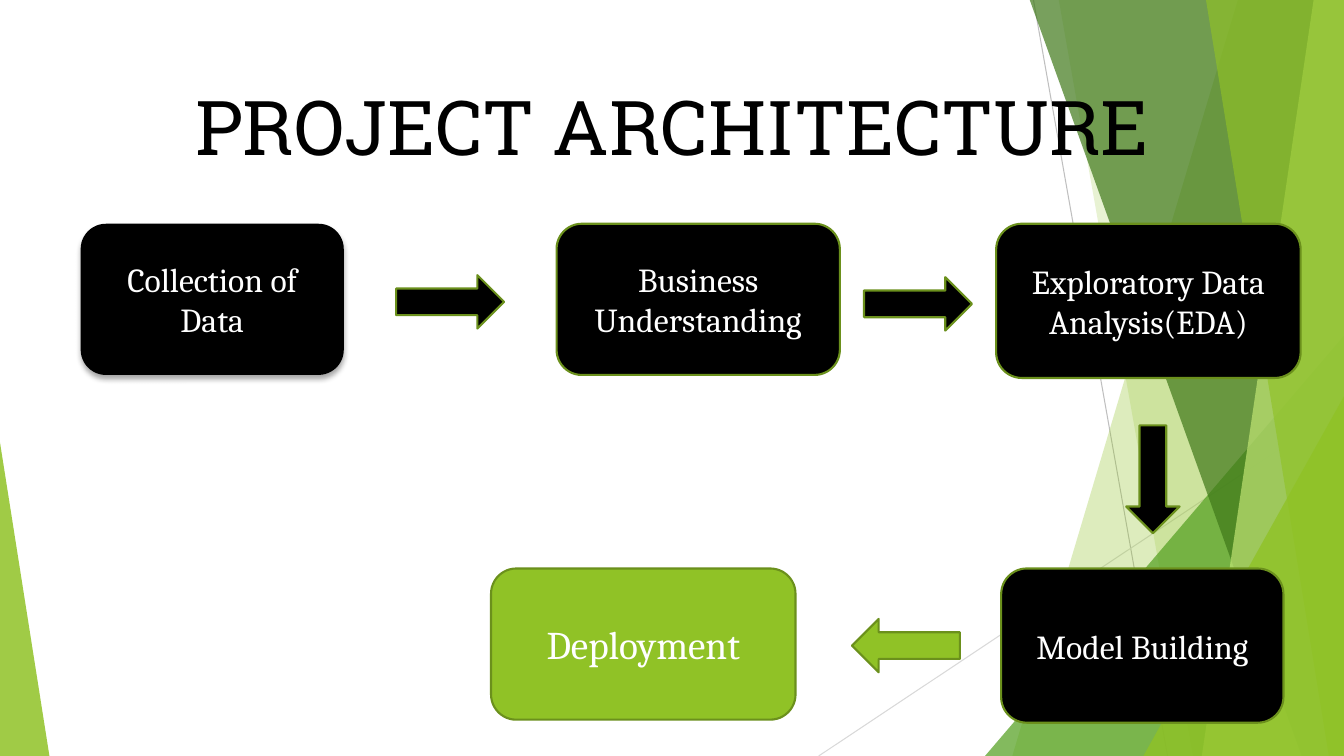
from dataclasses import dataclass

from lxml import etree
from pptx import Presentation
from pptx import util as u
from pptx.dml import color
from pptx.enum import shapes, text
from pptx.oxml import ns

KIND = shapes.MSO_SHAPE
WIDE, TALL = 13.33, 7.5


@dataclass(frozen=True)
class Theme:
    black: str = "000000"
    white: str = "FFFFFF"
    lime: str = "90C226"
    leaf: str = "54A021"
    pine: str = "3F7819"
    pale: str = "C0E474"
    edge: str = "6B901C"
    grey: str = "BFBFBF"
    mist: str = "D9D9D9"
    head: str = "Roboto Slab"
    body: str = "Cambria"
    title: int = 54
    large: int = 28
    base: int = 24


LOOK = Theme()


def rgb(code):
    return color.RGBColor.from_string(code)


def inch(*sizes):
    return [u.Inches(size) for size in sizes]


def write(shape, words, size=LOOK.base, font=LOOK.body, ink=LOOK.white,
          anchor=text.MSO_ANCHOR.MIDDLE, wrap=True):
    frame = shape.text_frame
    frame.word_wrap = wrap
    frame.auto_size = text.MSO_AUTO_SIZE.NONE
    frame.vertical_anchor = anchor
    line = frame.paragraphs[0]
    line.alignment = text.PP_ALIGN.CENTER
    run = line.add_run()
    run.text = words
    run.font.size = u.Pt(size)
    run.font.name = font
    run.font.color.rgb = rgb(ink)


def paint(shape, fill, edge=None, alpha=100):
    """Set fill, outline and opacity in percent, with no shadow."""
    shape.shadow.inherit = False
    shape.fill.solid()
    shape.fill.fore_color.rgb = rgb(fill)
    if alpha < 100:
        tone = shape.element.spPr.find(".//" + ns.qn("a:srgbClr"))
        etree.SubElement(tone, ns.qn("a:alpha"), val=str(alpha * 1000))
    if edge:
        shape.line.color.rgb = rgb(edge)
        shape.line.width = u.Pt(1.5)
    else:
        shape.line.fill.background()


def shade(shape):
    """Drop a soft shadow straight down."""
    drop = etree.SubElement(
        shape.element.spPr.find(ns.qn("a:effectLst")), ns.qn("a:outerShdw"),
        blurRad=str(u.Pt(4)), dist=str(u.Pt(3)), dir="5400000", rotWithShape="0")
    tone = etree.SubElement(drop, ns.qn("a:srgbClr"), val=LOOK.black)
    etree.SubElement(tone, ns.qn("a:alpha"), val="35000")


def add_line(slide, start, end, ink):
    line = slide.shapes.add_connector(
        shapes.MSO_CONNECTOR.STRAIGHT, *inch(*start, *end))
    line.line.color.rgb = rgb(ink)
    line.line.width = u.Pt(0.75)
    etree.SubElement(line.element.spPr, ns.qn("a:effectLst"))


def add_facet(slide, top, base, fill, alpha):
    """Fill from a slanted left side to the right edge of the slide."""
    rise = -0.01
    points = [inch(*point) for point in
              ((WIDE, rise), (WIDE, TALL), (base, TALL))]
    pen = slide.shapes.build_freeform(*inch(top, rise))
    pen.add_line_segments(points, close=True)
    paint(pen.convert_to_shape(), fill, alpha=alpha)


def add_wedge(slide, box, peak, fill, alpha):
    wedge = slide.shapes.add_shape(KIND.ISOSCELES_TRIANGLE, *inch(*box))
    wedge.adjustments[0] = peak
    paint(wedge, fill, alpha=alpha)


def add_decor(slide):
    add_line(slide, (10.25, 0), (11.58, TALL), LOOK.grey)
    add_line(slide, (WIDE, 4.03), (8.12, TALL), LOOK.mist)
    add_facet(slide, 12.28, 10.04, LOOK.lime, 30)
    add_facet(slide, 10.5, 11.83, LOOK.lime, 20)
    add_wedge(slide, (9.77, 3.33, 3.56, 4.17), 1, LOOK.leaf, 72)
    add_facet(slide, 10.21, 12.91, LOOK.pine, 70)
    add_facet(slide, 13.03, 11.92, LOOK.pale, 70)
    add_facet(slide, 11.96, 13.18, LOOK.lime, 65)
    add_wedge(slide, (11.34, 3.93, 1.99, 3.57), 1, LOOK.lime, 80)
    add_wedge(slide, (0, 4.39, 0.49, 3.11), 0, LOOK.lime, 85)


def add_title(slide, words):
    title = slide.shapes.title
    title.left, title.top, title.width, title.height = inch(1.33, 0.74, 10.68, 1.01)
    write(title, words, size=LOOK.title, font=LOOK.head, ink=LOOK.black,
          anchor=text.MSO_ANCHOR.TOP, wrap=False)
    # Bring the title in front of the facets.
    slide.shapes.element.append(title.element)


def add_step(slide, words, box, fill=LOOK.black, edge=LOOK.edge, size=LOOK.base):
    step = slide.shapes.add_shape(KIND.ROUNDED_RECTANGLE, *inch(*box))
    paint(step, fill, edge)
    write(step, words, size=size)
    return step


def add_arrow(slide, kind, left, top, fill=LOOK.black):
    size = (0.53, 1.07) if kind == KIND.DOWN_ARROW else (1.07, 0.53)
    arrow = slide.shapes.add_shape(kind, *inch(left, top, *size))
    paint(arrow, fill, LOOK.edge)


def main():
    deck = Presentation()
    deck.slide_width, deck.slide_height = inch(WIDE, TALL)
    slide = deck.slides.add_slide(deck.slide_layouts.get_by_name("Title Only"))
    add_decor(slide)
    add_title(slide, "PROJECT ARCHITECTURE")

    upper, lower = 2.22, 5.64
    first = add_step(slide, "Collection of Data", (0.8, upper, 2.61, 1.5), edge=None)
    shade(first)
    add_step(slide, "Business Understanding", (5.52, upper, 2.81, 1.5))
    add_step(slide, "Exploratory Data Analysis(EDA)", (9.88, upper, 3.02, 1.53))
    add_step(slide, "Deployment", (4.87, lower, 3.02, 1.5),
             fill=LOOK.lime, size=LOOK.large)
    add_step(slide, "Model Building", (9.93, lower, 2.8, 1.53))

    add_arrow(slide, KIND.RIGHT_ARROW, 3.93, 2.73)
    add_arrow(slide, KIND.RIGHT_ARROW, 8.57, 2.75)
    add_arrow(slide, KIND.DOWN_ARROW, 11.17, 4.22)
    add_arrow(slide, KIND.LEFT_ARROW, 8.45, 6.14, fill=LOOK.lime)
    deck.save("out.pptx")


if __name__ == "__main__":
    main()
